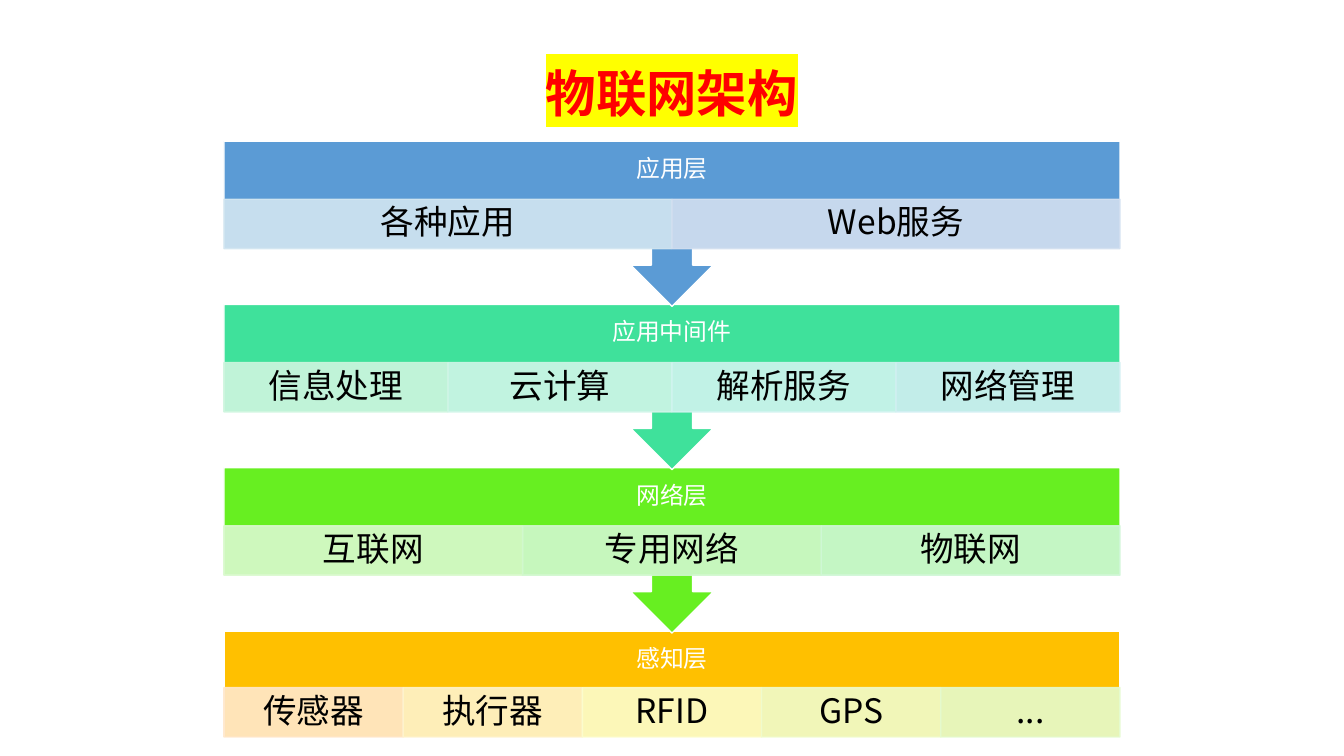
from dataclasses import dataclass

from lxml.etree import SubElement
from pptx import Presentation
from pptx.dml.color import RGBColor as Rgb
from pptx.enum.shapes import MSO_SHAPE as Kind
from pptx.enum.text import MSO_ANCHOR as Anchor, MSO_AUTO_SIZE as Fit, PP_ALIGN as Align
from pptx.oxml.ns import qn
from pptx.util import Pt


@dataclass(frozen=True)
class Theme:
    font: str = "Noto Sans CJK SC"
    title: str = "FF0000"
    mark: str = "FFFF00"
    light: str = "FFFFFF"
    dark: str = "000000"
    big: int = 36
    mid: int = 24
    small: int = 17


THEME = Theme()
LEFT, WIDTH = 160, 640
TOP, PITCH = 100.8, 116.64
TALL, SHORT = 118.08, 76.32
HEAD, STEP, CELL = 41.04, 41.5, 35.3

BANDS = [
    ("应用层", "5B9BD5", [("各种应用", "D2E6F1"), ("Web服务", "D2DFF0")]),
    ("应用中间件", "3FE19B", [("信息处理", "CFF6DF"), ("云计算", "D0F5E8"),
                         ("解析服务", "D0F4EF"), ("网络管理", "D1EFF2")]),
    ("网络层", "67EF21", [("互联网", "DAFACE"), ("专用网络", "D1F8CE"), ("物联网", "CFF7D6")]),
    ("感知层", "FFC000", [("传感器", "FFE8CC"), ("执行器", "FEF4CD"), ("RFID", "FCFDCD"),
                       ("GPS", "F0FCCD"), ("...", "E5FBCE")]),
]


def write(shape, text, size, color, pads, anchor=Anchor.MIDDLE, bold=False):
    frame = shape.text_frame
    frame.text = text
    frame.word_wrap = True
    frame.auto_size = Fit.NONE
    frame.vertical_anchor = anchor
    frame.margin_left = frame.margin_right = Pt(pads[0])
    frame.margin_top = frame.margin_bottom = Pt(pads[1])
    para = frame.paragraphs[0]
    para.alignment = Align.CENTER
    para.line_spacing = 0.9
    run = para.runs[0]
    run.font.size = Pt(size)
    run.font.bold = bold
    run.font.color.rgb = Rgb.from_string(color)
    run.font.name = THEME.font
    props = run._r.get_or_add_rPr()
    SubElement(props, qn("a:ea")).set("typeface", THEME.font)
    return props


def block(slide, kind, box, fill, line):
    shape = slide.shapes.add_shape(kind, *map(Pt, box))
    shape.shadow.inherit = False
    shape.fill.solid()
    shape.fill.fore_color.rgb = Rgb.from_string(fill)
    shape.line.color.rgb = Rgb.from_string(line)
    shape.line.width = Pt(1)
    return shape


def add_title(slide, text):
    title = slide.shapes.title
    title.left, title.top, title.width, title.height = map(Pt, (352, 38.9, 255.6, 52.6))
    props = write(title, text, THEME.big, THEME.title, (7.2, 3.6), Anchor.BOTTOM, True)
    mark = SubElement(props, qn("a:highlight"))
    SubElement(mark, qn("a:srgbClr")).set("val", THEME.mark)
    props.find(qn("a:solidFill")).addnext(mark)


def add_cell(slide, box, text, color):
    cell = block(slide, Kind.RECTANGLE, box, color, color)
    for tint in cell.element.spPr.iter(qn("a:srgbClr")):
        SubElement(tint, qn("a:alpha")).set("val", "90000")
    write(cell, text, THEME.mid, THEME.dark, (13.7, 2.2))


def add_band(slide, top, name, color, cells, last):
    kind = Kind.RECTANGLE if last else Kind.UP_ARROW_CALLOUT
    tall = SHORT if last else TALL
    band = block(slide, kind, (LEFT, top, WIDTH, tall), color, THEME.light)
    band.rotation = 0 if last else 180
    head = slide.shapes.add_textbox(*map(Pt, (LEFT, top, WIDTH, HEAD)))
    write(head, name, THEME.small, THEME.light, (9.4, 9.4))
    wide = WIDTH / len(cells)
    drop = tall - CELL - 0.6 if last else STEP
    for col, (text, tint) in enumerate(cells):
        add_cell(slide, (LEFT + col * wide, top + drop, wide, CELL), text, tint)


def main():
    deck = Presentation()
    deck.slide_width, deck.slide_height = Pt(960), Pt(540)
    slide = deck.slides.add_slide(deck.slide_layouts[5])
    add_title(slide, "物联网架构")
    final = len(BANDS) - 1
    for row, (name, color, cells) in reversed(list(enumerate(BANDS))):
        add_band(slide, TOP + row * PITCH, name, color, cells, row == final)
    deck.save("out.pptx")


if __name__ == "__main__":
    main()
